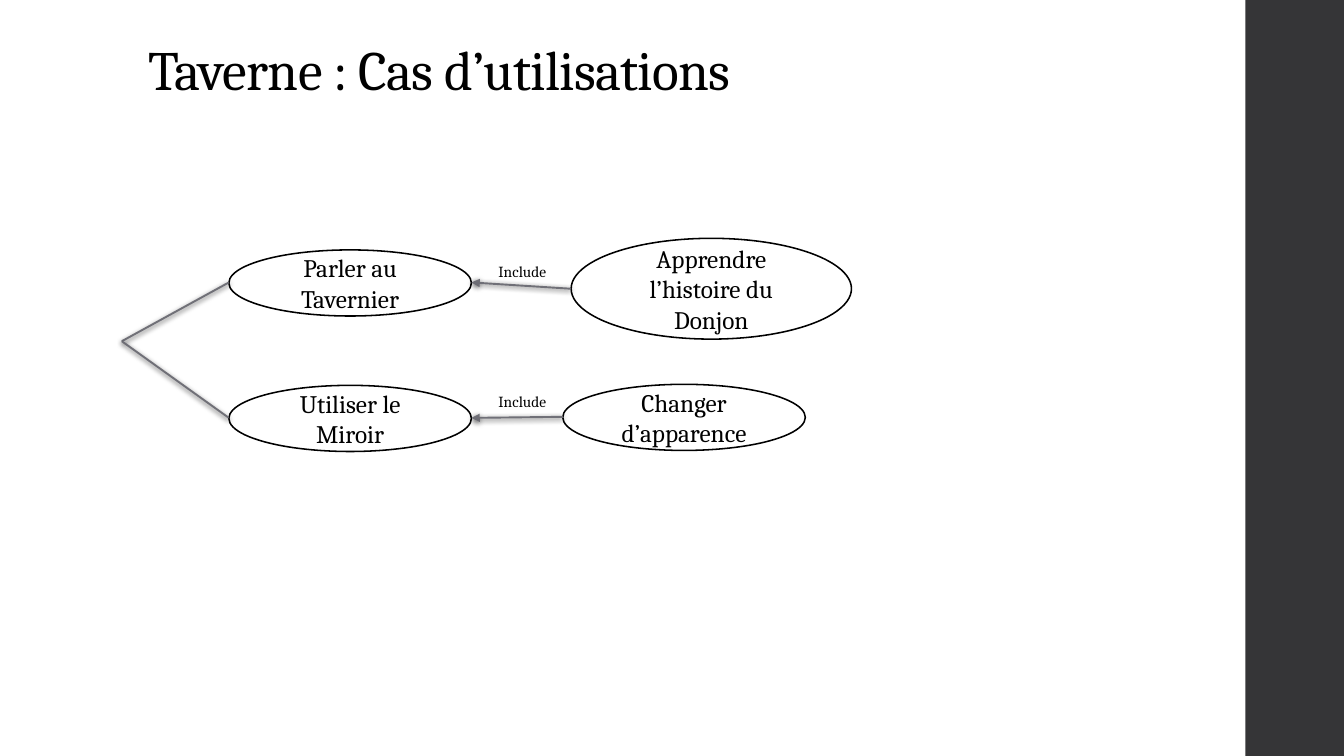
import pptx
import pptx.dml.color
import pptx.enum.shapes
import pptx.enum.text
import pptx.oxml
import pptx.oxml.ns
import pptx.util

PX = 9525
BLACK = pptx.dml.color.RGBColor(0x00, 0x00, 0x00)
WHITE = pptx.dml.color.RGBColor(0xFF, 0xFF, 0xFF)
GREY = pptx.dml.color.RGBColor(0x6B, 0x6B, 0x73)
CHARCOAL = pptx.dml.color.RGBColor(0x35, 0x35, 0x37)
NAMESPACE = pptx.oxml.ns.nsdecls("a")
SHADOW = (
    f'<a:effectLst {NAMESPACE}><a:outerShdw blurRad="50800" dist="15240" dir="5400000" '
    'rotWithShape="0"><a:srgbClr val="000000"><a:alpha val="75000"/></a:srgbClr>'
    '</a:outerShdw></a:effectLst>'
)


def write(box, text, size, align, anchor):
    frame = box.text_frame
    frame.word_wrap = True
    frame.vertical_anchor = anchor
    para = frame.paragraphs[0]
    para.alignment = align
    span = para.add_run()
    span.text = text
    span.font.name = "Cambria"
    span.font.size = pptx.util.Pt(size)
    span.font.color.rgb = BLACK
    return para, span


def link(start, end, arrow):
    line = page.shapes.add_connector(
        pptx.enum.shapes.MSO_CONNECTOR.STRAIGHT, *[value * PX for value in start + end])
    line.line.color.rgb = GREY
    line.line.width = pptx.util.Pt(1.35)
    outline = line.line._get_or_add_ln()
    colour = outline.find(".//" + pptx.oxml.ns.qn("a:srgbClr"))
    colour.append(pptx.oxml.parse_xml(f'<a:alpha {NAMESPACE} val="95000"/>'))
    if arrow:
        outline.append(pptx.oxml.parse_xml(f'<a:tailEnd {NAMESPACE} type="triangle"/>'))
    line._element.spPr.append(pptx.oxml.parse_xml(SHADOW))


deck = pptx.Presentation()
deck.slide_width = 1280 * PX
deck.slide_height = 720 * PX
page = deck.slides.add_slide(deck.slide_layouts[5])
page.background.fill.solid()
page.background.fill.fore_color.rgb = WHITE

side_bar = page.shapes.add_shape(
    pptx.enum.shapes.MSO_SHAPE.RECTANGLE, 1186 * PX, 0, 94 * PX, 720 * PX)
side_bar.shadow.inherit = False
side_bar.fill.solid()
side_bar.fill.fore_color.rgb = CHARCOAL
side_bar.line.fill.background()

title = page.shapes.title
title.left, title.top, title.width, title.height = [value * PX for value in (132, 38, 1018, 64)]
para, span = write(title, "Taverne : Cas d’utilisations", 39.6,
                   pptx.enum.text.PP_ALIGN.LEFT, pptx.enum.text.MSO_ANCHOR.BOTTOM)
title.text_frame.auto_size = pptx.enum.text.MSO_AUTO_SIZE.NONE
para.line_spacing = 0.9
span._r.get_or_add_rPr().set("spc", "-50")

use_cases = [
    ("Parler au Tavernier", 218, 238, 231, 63),
    ("Apprendre l’histoire du Donjon", 544, 227, 267, 96),
    ("Utiliser le Miroir", 218, 367, 231, 63),
    ("Changer d’apparence", 536, 366, 231, 63),
]
for text, *place in use_cases:
    oval = page.shapes.add_shape(
        pptx.enum.shapes.MSO_SHAPE.OVAL, *[value * PX for value in place])
    oval.shadow.inherit = False
    oval.fill.solid()
    oval.fill.fore_color.rgb = WHITE
    oval.line.color.rgb = BLACK
    oval.line.width = pptx.util.Pt(1.1)
    write(oval, text, 18, pptx.enum.text.PP_ALIGN.CENTER, pptx.enum.text.MSO_ANCHOR.MIDDLE)

actor = (116, 325)
for main_case, included_case, label_top in zip(use_cases[::2], use_cases[1::2], (245, 369)):
    name, left, top, width, height = main_case
    middle = top + height // 2
    included_name, included_left, included_top, included_width, included_height = included_case
    included_middle = included_top + included_height // 2
    link(actor, (left, middle), False)
    link((included_left, included_middle), (left + width, middle), True)
    label = page.shapes.add_textbox(458 * PX, label_top * PX, 79 * PX, 28 * PX)
    write(label, "Include", 11, pptx.enum.text.PP_ALIGN.CENTER, pptx.enum.text.MSO_ANCHOR.TOP)
    label.text_frame.auto_size = pptx.enum.text.MSO_AUTO_SIZE.SHAPE_TO_FIT_TEXT

deck.save("out.pptx")
